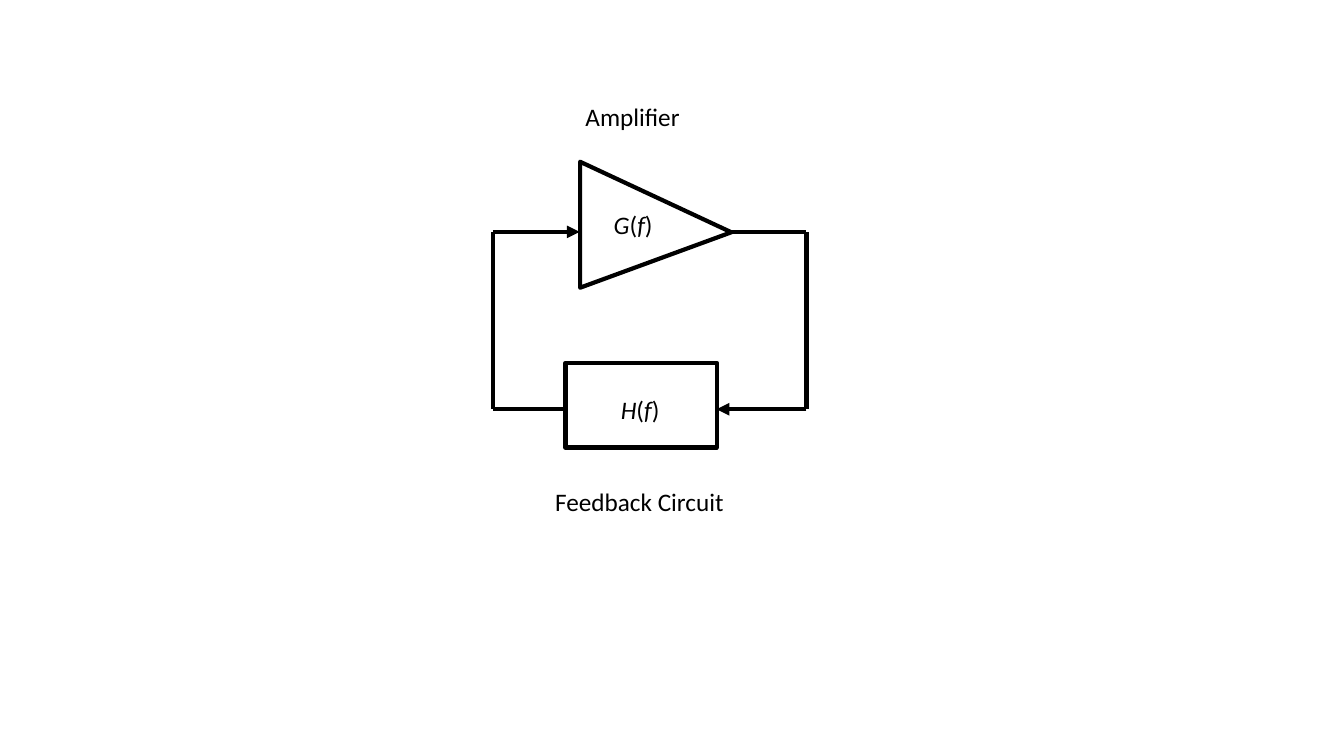
import pptx
import pptx.dml.color
import pptx.enum.shapes
import pptx.enum.text
import pptx.oxml.ns
import pptx.util
from lxml import etree

SHAPE = pptx.enum.shapes.MSO_SHAPE
COLUMNS, ROWS = 133.33, 75
BLACK = "000000"

# Signal loop, in grid units
LEFT, RIGHT = 48.9, 80
AMP_LEFT, AMP_RIGHT, AMP_Y = 57.5, 72.5, 23
BOX_LEFT, BOX_WIDTH, BOX_Y = 56.1, 15, 40.6


def color(hex_value):
    return pptx.dml.color.RGBColor.from_string(hex_value)


def add_run(p, text, size=18, font="Calibri", fill=BLACK, italic=False):
    r = p.add_run()
    r.text = text
    r.font.size = pptx.util.Pt(size)
    r.font.name = font
    r.font.italic = italic
    r.font.color.rgb = color(fill)


class Diagram:
    """Draws on one slide, with lengths in columns and rows of its grid."""

    def __init__(self, prs, stroke=BLACK, weight=3):
        self.slide = prs.slides.add_slide(prs.slide_layouts[6])
        self.column = prs.slide_width / COLUMNS
        self.row = prs.slide_height / ROWS
        self.stroke, self.weight = stroke, weight

    def x(self, columns):
        return round(columns * self.column)

    def y(self, rows):
        return round(rows * self.row)

    def box(self, left, top, width, height):
        return self.x(left), self.y(top), self.x(width), self.y(height)

    def draw_line(self, sp):
        sp.line.color.rgb = color(self.stroke)
        sp.line.width = pptx.util.Pt(self.weight)

    def shape(self, kind, *box, rotation=0):
        sp = self.slide.shapes.add_shape(kind, *self.box(*box))
        sp.shadow.inherit = False
        sp.fill.background()
        sp.rotation = rotation
        self.draw_line(sp)
        return sp

    def wire(self, x1, y1, x2, y2, arrow=False):
        sp = self.slide.shapes.add_connector(
            pptx.enum.shapes.MSO_CONNECTOR.STRAIGHT,
            self.x(x1), self.y(y1), self.x(x2), self.y(y2))
        self.draw_line(sp)
        qn = pptx.oxml.ns.qn
        if arrow:
            etree.SubElement(sp.line._get_or_add_ln(), qn("a:tailEnd"), type="triangle")
        etree.SubElement(sp._element.spPr, qn("a:effectLst"))

    def label(self, left, top, width, *runs):
        """Add a one-line label from (text, italic) pairs."""
        sp = self.slide.shapes.add_textbox(*self.box(left, top, width, 4))
        tf = sp.text_frame
        tf.word_wrap = False
        tf.auto_size = pptx.enum.text.MSO_AUTO_SIZE.SHAPE_TO_FIT_TEXT
        for text, italic in runs:
            add_run(tf.paragraphs[0], text, italic=italic)

    def transfer_function(self, left, top, name):
        self.label(left, top, 5.9, (name, True), ("(", False), ("f", True), (")", False))


def main():
    prs = pptx.Presentation()
    prs.slide_width = pptx.util.Inches(13.33)
    prs.slide_height = pptx.util.Inches(7.5)
    s = Diagram(prs)

    s.shape(SHAPE.RECTANGLE, BOX_LEFT, 36, BOX_WIDTH, 8.4)
    s.label(54.1, 47.8, 18.9, ("Feedback Circuit", False))
    amplifier = s.shape(SHAPE.ISOSCELES_TRIANGLE, 58.8, 14.8, 12.5, 15, rotation=90)
    amplifier.adjustments[0] = 0.56
    s.label(57.1, 9.6, 11.5, ("Amplifier", False))

    s.wire(LEFT, AMP_Y, AMP_LEFT, AMP_Y, arrow=True)
    s.wire(AMP_RIGHT, AMP_Y, RIGHT, AMP_Y)
    s.wire(RIGHT, BOX_Y, BOX_LEFT + BOX_WIDTH, BOX_Y, arrow=True)
    s.wire(RIGHT, AMP_Y, RIGHT, BOX_Y)
    s.wire(LEFT, BOX_Y, BOX_LEFT, BOX_Y)
    s.wire(LEFT, AMP_Y, LEFT, BOX_Y)

    s.transfer_function(60.6, 38.6, "H")
    s.transfer_function(59.9, 20.3, "G")
    prs.save("out.pptx")


if __name__ == "__main__":
    main()
